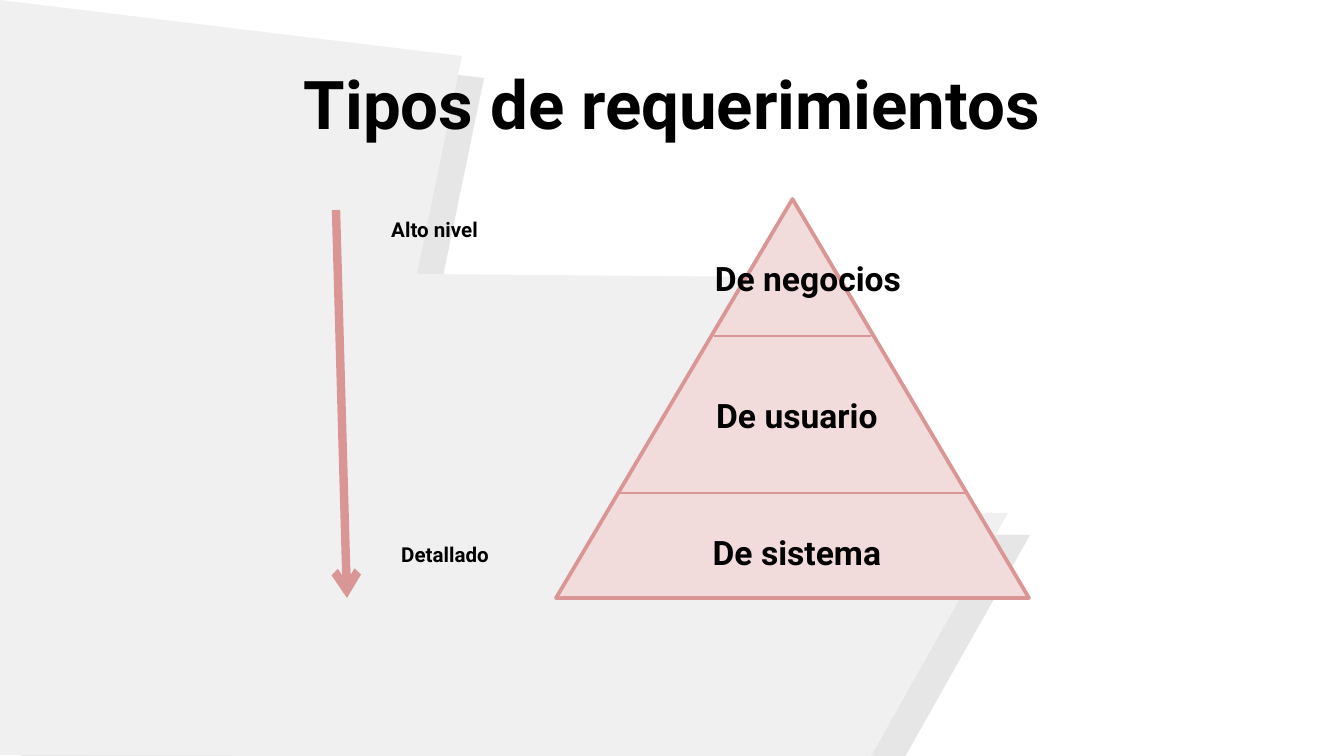
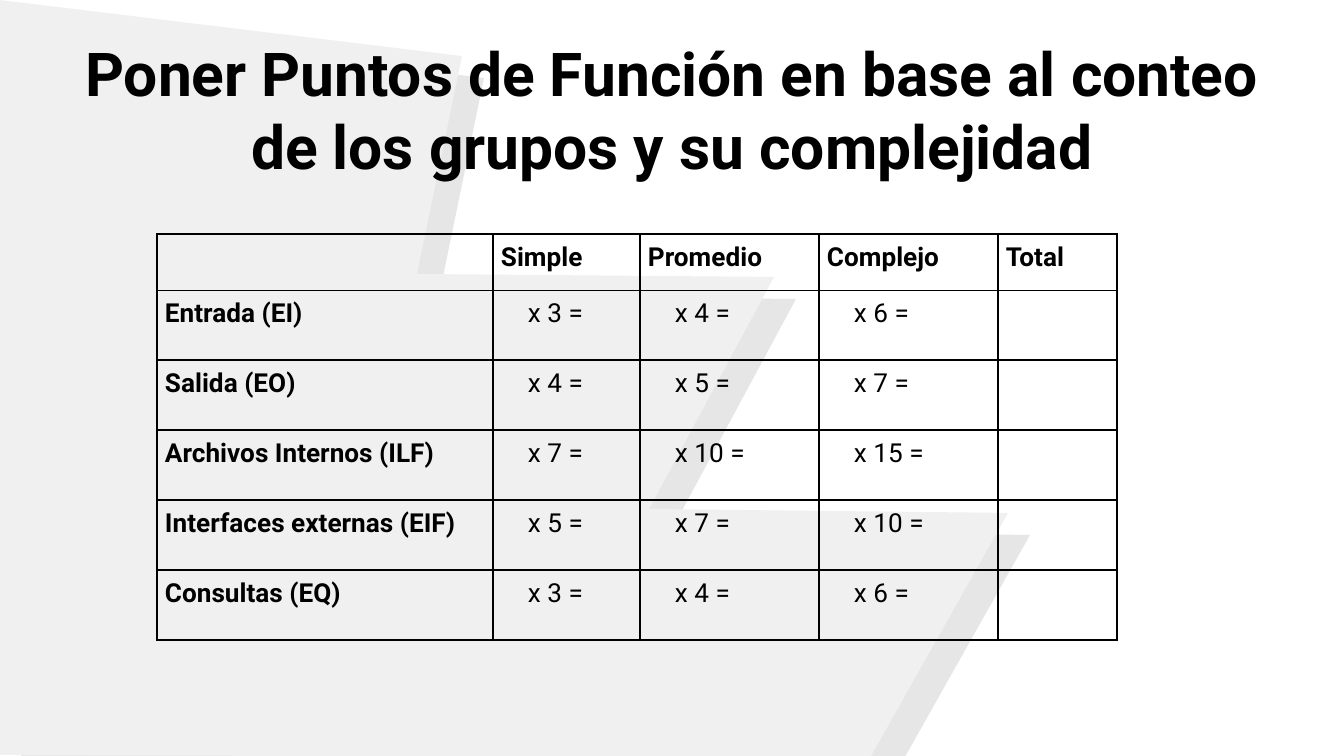
from lxml.etree import SubElement
from pptx import Presentation
from pptx.dml.color import RGBColor
from pptx.enum.shapes import MSO_CONNECTOR as Connector, MSO_SHAPE as Shape
from pptx.enum.text import MSO_ANCHOR as Anchor, PP_ALIGN as Align
from pptx.oxml.ns import qn
from pptx.util import Pt

SCALE = 914400 / 134.4
WIDTH, HEIGHT = 1344, 756
FONT = "Roboto"
COLORS = {
    "black": "000000",
    "white": "FFFFFF",
    "band": "F0F0F0",
    "band_shadow": "E6E6E6",
    "pyramid": "F2DCDB",
    "outline": "D99694",
}
BAND = [(0, 0), (462, 56), (417, 274), (774, 277),
        (649, 509), (1008, 513), (870, 758), (-1, 755)]
BAND_OFFSET = 22
CELL_INSET = 8
FACTOR_INSET = 35
BORDER_WIDTH = 1


def px(value):
    return round(value * SCALE)


def color(name):
    return RGBColor.from_string(COLORS[name])


def format_text(paragraph, size, bold=True, align=Align.LEFT):
    paragraph.alignment = align
    for run in paragraph.runs:
        run.font.name = FONT
        run.font.size = Pt(size)
        run.font.bold = bold
        run.font.color.rgb = color("black")


def add_band(slide, offset, fill):
    points = [(px(x + offset), px(y + offset)) for x, y in BAND]
    builder = slide.shapes.build_freeform(*points[0])
    builder.add_line_segments(points[1:], close=True)
    shape = builder.convert_to_shape()
    shape.shadow.inherit = False
    shape.fill.solid()
    shape.fill.fore_color.rgb = color(fill)
    shape.line.fill.background()


def add_text(slide, text, box, size, align=Align.LEFT, anchor=Anchor.TOP):
    text_frame = slide.shapes.add_textbox(*map(px, box)).text_frame
    text_frame.word_wrap = True
    text_frame.vertical_anchor = anchor
    text_frame.text = text
    format_text(text_frame.paragraphs[0], size, align=align)


def add_titled_slide(presentation, title, top, height, size):
    slide = presentation.slides.add_slide(presentation.slide_layouts[6])
    slide.background.fill.solid()
    slide.background.fill.fore_color.rgb = color("white")
    add_band(slide, BAND_OFFSET, "band_shadow")
    add_band(slide, 0, "band")
    add_text(slide, title, (63, top, 1218, height), size, Align.CENTER, Anchor.MIDDLE)
    return slide


def add_triangle(slide, box):
    shape = slide.shapes.add_shape(Shape.ISOSCELES_TRIANGLE, *map(px, box))
    shape.shadow.inherit = False
    shape.fill.solid()
    shape.fill.fore_color.rgb = color("pyramid")
    shape.line.color.rgb = color("outline")
    shape.line.width = Pt(2)


def add_line(slide, ends, width, arrow=False):
    connector = slide.shapes.add_connector(Connector.STRAIGHT, *map(px, ends))
    connector.line.color.rgb = color("outline")
    connector.line.width = Pt(width)
    properties = connector._element.spPr
    if arrow:
        SubElement(properties.find(qn("a:ln")), qn("a:tailEnd"), type="arrow")
    SubElement(properties, qn("a:effectLst"))


def add_borders(cell):
    properties = cell._tc.get_or_add_tcPr()
    for index, side in enumerate("LRTB"):
        line = SubElement(properties, qn(f"a:ln{side}"), w=str(Pt(BORDER_WIDTH)))
        fill = SubElement(line, qn("a:solidFill"))
        SubElement(fill, qn("a:srgbClr"), val=COLORS["black"])
        properties.insert(index, line)


def fill_cell(cell, text, is_factor):
    cell.margin_left = px(FACTOR_INSET if is_factor else CELL_INSET)
    cell.margin_right = cell.margin_top = cell.margin_bottom = px(CELL_INSET)
    cell.fill.background()
    add_borders(cell)
    if text:
        cell.text = text
        format_text(cell.text_frame.paragraphs[0], 14, bold=not is_factor)


def add_grid(slide, left, top, widths, heights, rows):
    table = slide.shapes.add_table(
        len(heights), len(widths), px(left), px(top),
        px(sum(widths)), px(sum(heights))).table
    table.first_row = False
    table.horz_banding = False
    for column, width in zip(table.columns, widths):
        column.width = px(width)
    for row, height in zip(table.rows, heights):
        row.height = px(height)
    for row_index, texts in enumerate(rows):
        for column_index, text in enumerate(texts):
            is_factor = row_index > 0 and column_index > 0
            fill_cell(table.cell(row_index, column_index), text, is_factor)


def build_requirement_types(presentation):
    slide = add_titled_slide(presentation, "Tipos de requerimientos", 22, 162, 36)
    add_triangle(slide, (556, 199, 473, 399))
    levels = [("De negocios", 661), ("De usuario", 650), ("De sistema", 650)]
    for index, (label, left) in enumerate(levels):
        add_text(slide, label, (left, 251 + 137 * index, 294, 54), 18, Align.CENTER)
    for left, right, y in [(620, 966, 493), (714, 871, 336)]:
        add_line(slide, (left, y, right, y), 1.5)
    add_line(slide, (336, 210, 347, 598), 4.5, arrow=True)
    for label, left, top in [("Alto nivel", 378, 210), ("Detallado", 388, 535)]:
        add_text(slide, label, (left, top, 168, 39), 11)


def build_function_points(presentation):
    title = "Poner Puntos de Función en base al conteo de los grupos y su complejidad"
    slide = add_titled_slide(presentation, title, 38, 141, 32.4)
    groups = [
        ("Entrada (EI)", (3, 4, 6)),
        ("Salida (EO)", (4, 5, 7)),
        ("Archivos Internos (ILF)", (7, 10, 15)),
        ("Interfaces externas (EIF)", (5, 7, 10)),
        ("Consultas (EQ)", (3, 4, 6)),
    ]
    rows = [["", "Simple", "Promedio", "Complejo", "Total"]]
    for group, factors in groups:
        rows.append([group, *(f"x {factor} =" for factor in factors), ""])
    heights = [52] + [70] * len(groups)
    add_grid(slide, 157, 234, [336, 147, 179, 179, 119], heights, rows)


def main():
    presentation = Presentation()
    presentation.slide_width = px(WIDTH)
    presentation.slide_height = px(HEIGHT)
    build_requirement_types(presentation)
    build_function_points(presentation)
    presentation.save("out.pptx")


if __name__ == "__main__":
    main()
